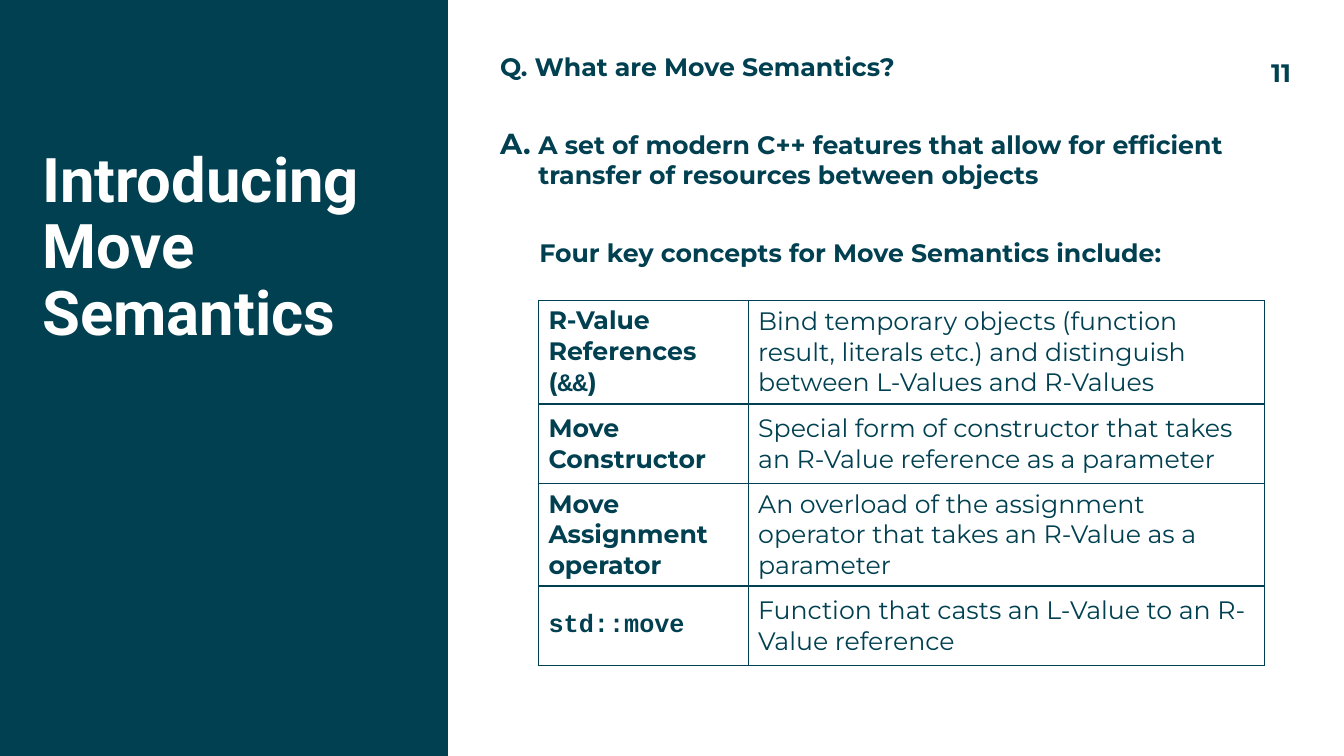
"""Build the slide that introduces move semantics and its four key concepts."""
import lxml.etree
import pptx
import pptx.dml.color
import pptx.enum.shapes
import pptx.enum.text
import pptx.oxml.ns
import pptx.util

TEAL, WHITE = "004050", "FFFFFF"
HEADING, BODY, CODE = "Roboto", "Montserrat", "Courier New"
WIDTH, HEIGHT = 13.33, 7.5
PANEL_WIDTH = WIDTH / 3
TITLE = "Introducing Move Semantics"
PAGE = "11"
ANSWERS = [
    ("Q. What are Move Semantics?", 0, 0, None),
    ("A set of modern C++ features that allow for efficient transfer of "
     "resources between objects", 0.38, -0.38, "alphaUcPeriod"),
    ("Four key concepts for Move Semantics include:", 0.39, 0, None),
]
CONCEPTS = [
    ([("R-Value References (", BODY), ("&&", CODE), (")", BODY)],
     "Bind temporary objects (function result, literals etc.) and distinguish "
     "between L-Values and R-Values"),
    ([("Move Constructor", BODY)],
     "Special form of constructor that takes an R-Value reference as a parameter"),
    ([("Move Assignment operator", BODY)],
     "An overload of the assignment operator that takes an R-Value as a parameter"),
    ([("std::move", CODE)],
     "Function that casts an L-Value to an R-Value reference"),
]
COLUMNS = (2.08, 5.12)
ROW_HEIGHT = 0.79


def color(hex_value):
    return pptx.dml.color.RGBColor.from_string(hex_value)


def inches(*lengths):
    return [pptx.util.Inches(length) for length in lengths]


def place(shape, left, top, width, height):
    shape.left, shape.top, shape.width, shape.height = inches(left, top, width, height)


def add_run(paragraph, text, font=BODY, size=18, hex_value=TEAL, bold=True):
    run = paragraph.add_run()
    run.text = text
    run.font.name, run.font.size, run.font.bold = font, pptx.util.Pt(size), bold
    run.font.color.rgb = color(hex_value)


def add_element(parent, tag, **attributes):
    return lxml.etree.SubElement(parent, pptx.oxml.ns.qn(tag), attributes)


def clear_frame(frame):
    frame.word_wrap = True
    frame.auto_size = pptx.enum.text.MSO_AUTO_SIZE.NONE
    frame.vertical_anchor = pptx.enum.text.MSO_ANCHOR.TOP
    frame.margin_left = frame.margin_right = frame.margin_top = frame.margin_bottom = 0


def add_title(slide):
    title = slide.shapes.title
    place(title, 0.42, 1.48, 3.77, 3.01)
    clear_frame(title.text_frame)
    heading = title.text_frame.paragraphs[0]
    heading.alignment = pptx.enum.text.PP_ALIGN.LEFT
    heading.line_spacing = 0.9
    add_run(heading, TITLE, HEADING, 44, WHITE)

    panel = slide.shapes.add_shape(
        pptx.enum.shapes.MSO_SHAPE.RECTANGLE, *inches(0, 0, PANEL_WIDTH, HEIGHT))
    panel.shadow.inherit = False
    panel.fill.solid()
    panel.fill.fore_color.rgb = color(TEAL)
    panel.line.fill.background()
    title.element.addprevious(panel.element)


def add_answers(slide):
    body = slide.placeholders[1]
    place(body, 4.96, 0.51, 7.58, 3.56)
    frame = body.text_frame
    clear_frame(frame)
    for index, (text, margin, indent, numbering) in enumerate(ANSWERS):
        paragraph = frame.add_paragraph() if index else frame.paragraphs[0]
        properties = paragraph._p.get_or_add_pPr()
        properties.set("marL", str(pptx.util.Inches(margin)))
        properties.set("indent", str(pptx.util.Inches(indent)))
        if numbering:
            add_element(properties, "a:buSzPct", val="115000")
            add_element(properties, "a:buFont", typeface=BODY)
            add_element(properties, "a:buAutoNum", type=numbering)
        else:
            add_element(properties, "a:buNone")
        paragraph.space_before = pptx.util.Pt(34 if index else 0)
        paragraph.space_after = pptx.util.Pt(0)
        add_run(paragraph, text)


def add_borders(cell):
    properties = cell._tc.get_or_add_tcPr()
    for side in ("a:lnL", "a:lnR", "a:lnT", "a:lnB"):
        border = add_element(properties, side, w=str(pptx.util.Pt(1)))
        add_element(add_element(border, "a:solidFill"), "a:srgbClr", val=TEAL)


def add_concepts(slide):
    table = slide.shapes.add_table(
        len(CONCEPTS), len(COLUMNS),
        *inches(5.34, 2.98, sum(COLUMNS), ROW_HEIGHT * len(CONCEPTS))).table
    table.first_row = table.horz_banding = False
    for column, width in zip(table.columns, COLUMNS):
        column.width = pptx.util.Inches(width)
    for row, (name, meaning) in zip(table.rows, CONCEPTS):
        row.height = pptx.util.Inches(ROW_HEIGHT)
        for cell, parts, bold in zip(row.cells, (name, [(meaning, BODY)]), (True, False)):
            add_borders(cell)
            cell.fill.background()
            cell.vertical_anchor = pptx.enum.text.MSO_ANCHOR.MIDDLE
            for text, font in parts:
                add_run(cell.text_frame.paragraphs[0], text, font, bold=bold)


def add_page_number(slide):
    number = slide.shapes.add_textbox(*inches(12.51, 0.52, 0.5, 0.4))
    number.text_frame.word_wrap = True
    add_run(number.text_frame.paragraphs[0], PAGE)


def main():
    deck = pptx.Presentation()
    deck.slide_width, deck.slide_height = inches(WIDTH, HEIGHT)
    slide = deck.slides.add_slide(deck.slide_layouts[1])
    slide.background.fill.solid()
    slide.background.fill.fore_color.rgb = color(WHITE)
    add_title(slide)
    add_answers(slide)
    add_concepts(slide)
    add_page_number(slide)
    deck.save("out.pptx")


if __name__ == "__main__":
    main()
